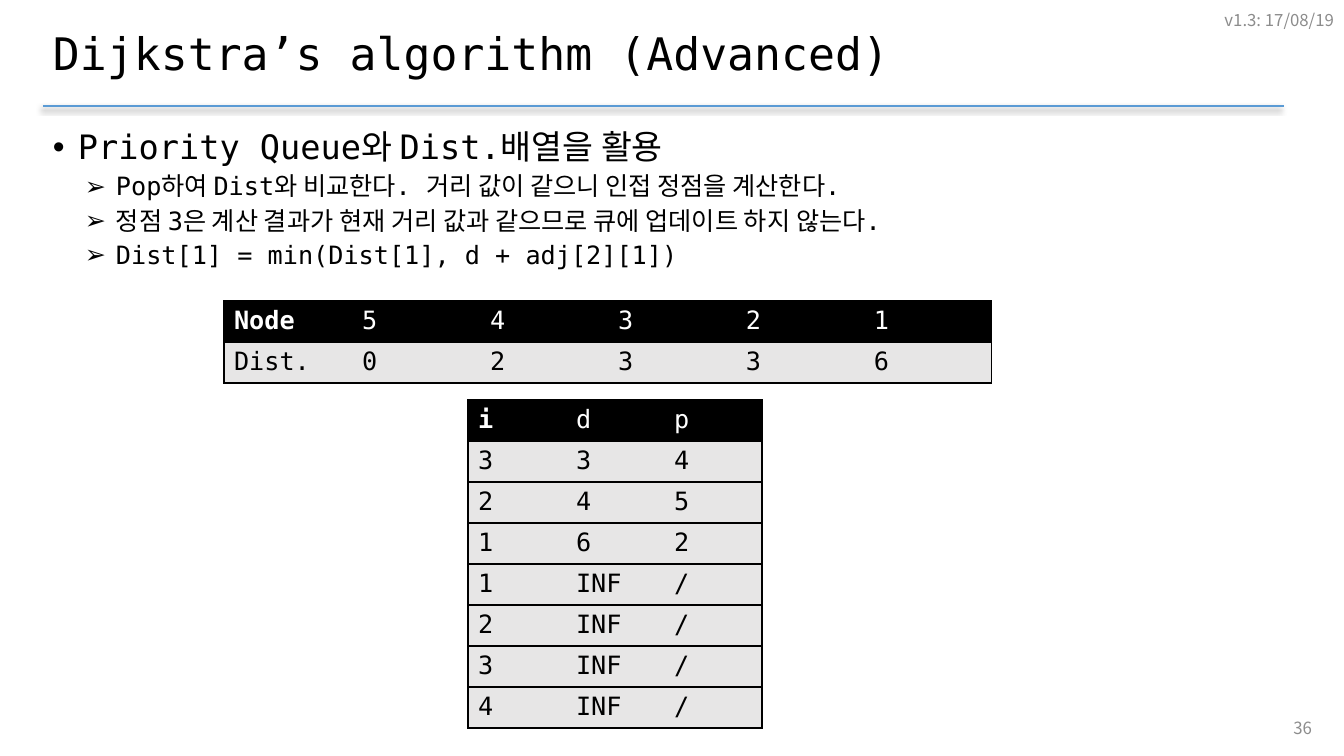
import pptx
import pptx.util
import pptx.dml.color
import pptx.enum.shapes
import pptx.enum.text
import pptx.oxml
import pptx.oxml.ns

PX = 914400 / 100.8
MONO = "DejaVu Sans Mono"
SANS = "Noto Sans CJK KR"
COLORS = {"ink": "000000", "paper": "FFFFFF", "rule": "5B9BD5",
          "muted": "8C8C8C", "cell": "E7E6E6"}
NAMESPACE = pptx.oxml.ns.nsdecls("a")
MIDDLE = pptx.enum.text.MSO_ANCHOR.MIDDLE
TOP = pptx.enum.text.MSO_ANCHOR.TOP


def px(length):
    """Turn whole pixels into EMU."""
    return pptx.util.Emu(round(length * PX))


def rgb(name):
    """Look up a named colour."""
    return pptx.dml.color.RGBColor.from_string(COLORS[name])


def element(markup):
    """Parse one drawing element whose tag needs the namespace."""
    tag_end = min(markup.find(mark) for mark in " />" if mark in markup)
    return pptx.oxml.parse_xml(f"{markup[:tag_end]} {NAMESPACE}{markup[tag_end:]}")


def add_run(paragraph, text, size, color="ink", font=MONO, bold=False):
    """Append one styled run to a paragraph."""
    run = paragraph.add_run()
    run.text = text
    run.font.size = pptx.util.Pt(size)
    run.font.bold = bold
    run.font.color.rgb = rgb(color)
    run.font.name = font
    run.font._element.append(element(f'<a:ea typeface="{SANS}"/>'))


def add_frame(slide, box, anchor):
    """Add a wrapping text box and return its text frame."""
    frame = slide.shapes.add_textbox(*map(px, box)).text_frame
    frame.word_wrap = True
    frame.vertical_anchor = anchor
    return frame


def add_heading(slide, box, title):
    """Place the title and the shadowed rule below it."""
    left, top, width, height = box
    heading = add_frame(slide, box, MIDDLE).paragraphs[0]
    heading.line_spacing = 0.9
    add_run(heading, title, 32)
    rule_y = top + height + 13
    rule = slide.shapes.add_connector(
        pptx.enum.shapes.MSO_CONNECTOR.STRAIGHT,
        px(left), px(rule_y), px(left + width), px(rule_y))
    rule.line.color.rgb = rgb("rule")
    rule.line.width = pptx.util.Pt(1.5)
    rule._element.spPr.append(element(
        '<a:effectLst><a:outerShdw blurRad="50800" dist="38100" dir="8100000">'
        f'<a:srgbClr val="{COLORS["ink"]}"><a:alpha val="40000"/></a:srgbClr>'
        '</a:outerShdw></a:effectLst>'))


def add_points(slide, box, topic, details):
    """Place the main point and its indented details."""
    frame = add_frame(slide, box, TOP)
    points = [(topic, 24, "•", 25, 25, 0)]
    points += [(detail, 18, "➢", 63, 31, 5) for detail in details]
    for index, (text, size, bullet, margin, hang, before) in enumerate(points):
        point = frame.add_paragraph() if index else frame.paragraphs[0]
        point.line_spacing = 0.9
        point.space_before = pptx.util.Pt(before)
        properties = point._p.get_or_add_pPr()
        properties.set("marL", str(px(margin)))
        properties.set("indent", str(-px(hang)))
        properties.append(element('<a:buFont typeface="Arial"/>'))
        properties.append(element(f'<a:buChar char="{bullet}"/>'))
        add_run(point, text, size)


def set_borders(cell, column, last_column):
    """Draw horizontal cell edges and only the outer vertical ones."""
    drawn = {"L": column == 0, "R": column == last_column, "T": True, "B": True}
    ink = f'<a:solidFill><a:srgbClr val="{COLORS["ink"]}"/></a:solidFill>'
    properties = cell._tc.get_or_add_tcPr()
    for index, (side, visible) in enumerate(drawn.items()):
        paint = ink if visible else "<a:noFill/>"
        properties.insert(index, element(f'<a:ln{side} w="12700">{paint}</a:ln{side}>'))


def add_grid(slide, origin, column_width, row_height, rows):
    """Place a table with a black header row and grey body rows."""
    left, top = origin
    count = len(rows[0])
    grid = slide.shapes.add_table(
        len(rows), count, px(left), px(top),
        px(column_width * count), px(row_height * len(rows))).table
    grid.first_row = False
    grid.horz_banding = False
    for row, values in enumerate(rows):
        for column, value in enumerate(values):
            cell = grid.cell(row, column)
            cell.fill.solid()
            cell.fill.fore_color.rgb = rgb("cell" if row else "ink")
            set_borders(cell, column, count - 1)
            add_run(cell.text_frame.paragraphs[0], value, 18,
                    "ink" if row else "paper", bold=row == column == 0)


def add_margin_note(slide, box, text):
    """Place a small grey right-aligned note."""
    note = add_frame(slide, box, MIDDLE).paragraphs[0]
    note.alignment = pptx.enum.text.PP_ALIGN.RIGHT
    add_run(note, text, 12, "muted", SANS)


def main():
    """Build and save the slide."""
    deck = pptx.Presentation()
    deck.slide_width, deck.slide_height = px(1344), px(756)
    slide = deck.slides.add_slide(deck.slide_layouts[6])
    add_heading(slide, (43, 18, 1241, 75), "Dijkstra’s algorithm (Advanced)")
    add_points(slide, (43, 126, 1241, 601), "Priority Queue와 Dist.배열을 활용", [
        "Pop하여 Dist와 비교한다. 거리 값이 같으니 인접 정점을 계산한다.",
        "정점 3은 계산 결과가 현재 거리 값과 같으므로 큐에 업데이트 하지 않는다.",
        "Dist[1] = min(Dist[1], d + adj[2][1])",
    ])
    add_margin_note(slide, (890, 0, 454, 40), "v1.3: 17/08/19")
    add_grid(slide, (224, 301), 128, 41, [
        ["Node", "5", "4", "3", "2", "1"],
        ["Dist.", "0", "2", "3", "3", "6"],
    ])
    queue = [["i", "d", "p"], ["3", "3", "4"], ["2", "4", "5"], ["1", "6", "2"]]
    queue += [[node, "INF", "/"] for node in "1234"]
    add_grid(slide, (468, 400), 98, 41, queue)
    add_margin_note(slide, (1020, 708, 302, 40), "36")
    deck.save("out.pptx")


if __name__ == "__main__":
    main()
